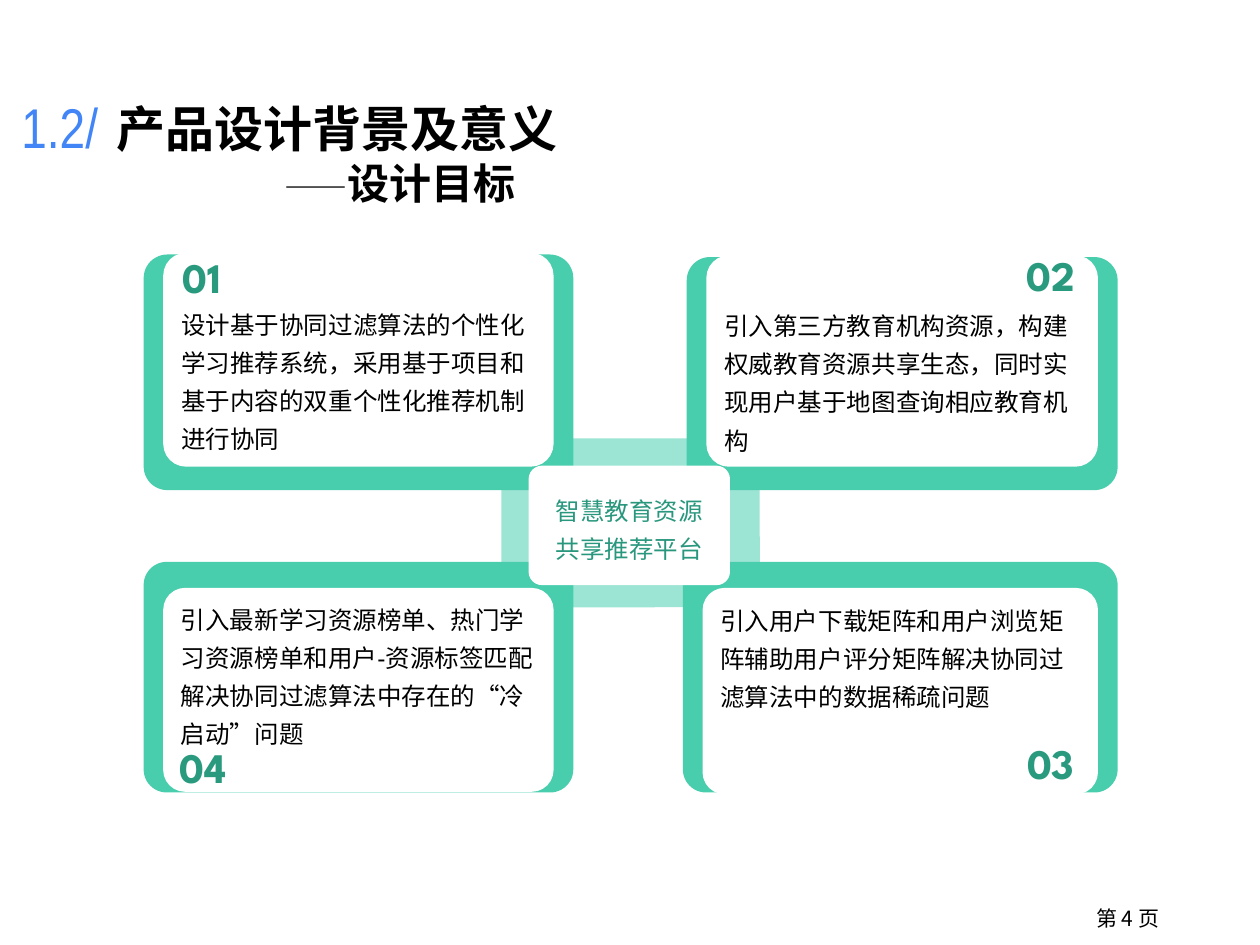
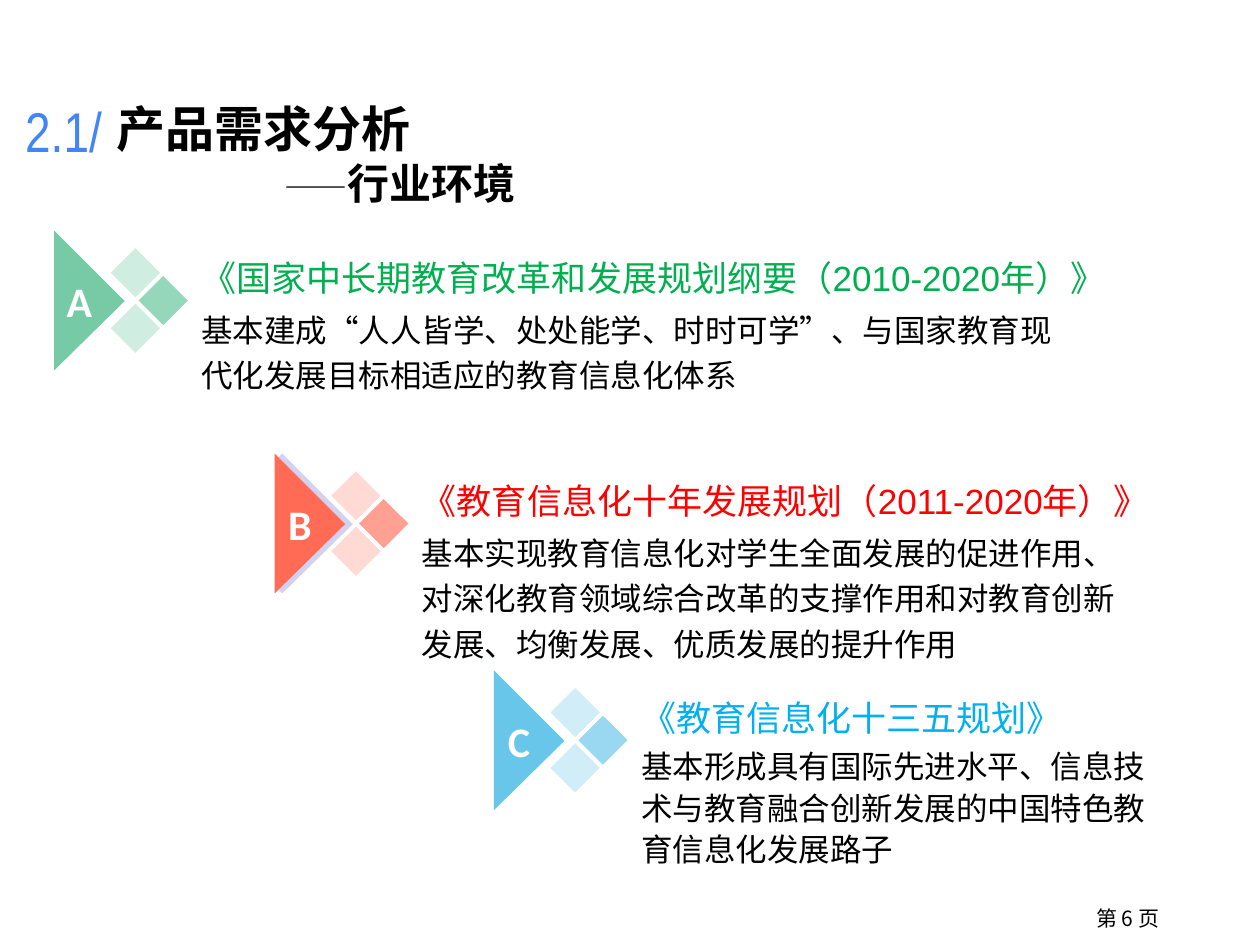
import pptx
import pptx.util
import pptx.dml.color
import pptx.enum.shapes
import pptx.enum.text
import lxml.etree
import pptx.oxml.ns

Inches, Pt = pptx.util.Inches, pptx.util.Pt
rgb = pptx.dml.color.RGBColor.from_string
SHAPE = pptx.enum.shapes.MSO_SHAPE
ANCHOR = pptx.enum.text.MSO_ANCHOR
ALIGN = pptx.enum.text.PP_ALIGN

CJK = "Noto Sans CJK SC"
BLACK, WHITE, BLUE = "000000", "FFFFFF", "4285F7"
GREEN, PALE_GREEN, DARK_GREEN = "48CDAD", "9CE4D3", "2A9A7F"
MARGINS = (0.1, 0.05, 0.1, 0.05)


def paint(sp, fill, line=None):
    sp.shadow.inherit = False
    sp.fill.solid()
    sp.fill.fore_color.rgb = rgb(fill)
    if line:
        sp.line.color.rgb = rgb(line)
        sp.line.width = Pt(2)
    else:
        sp.line.fill.background()


def write(sp, text, size, font="Arial", color=BLACK, bold=False, align=ALIGN.LEFT,
          spacing=1.0, anchor=ANCHOR.TOP, margins=MARGINS):
    """Put text in the first free paragraph of sp and return that paragraph."""
    tf = sp.text_frame
    tf.word_wrap = True
    tf.vertical_anchor = anchor
    tf.margin_left, tf.margin_top, tf.margin_right, tf.margin_bottom = map(Inches, margins)
    p = tf.add_paragraph() if tf.text else tf.paragraphs[0]
    p.alignment, p.line_spacing = align, spacing
    f = p.font
    f.size, f.name, f.bold = Pt(size), font, bold
    f.color.rgb = rgb(color)
    ea = lxml.etree.SubElement(f._element, pptx.oxml.ns.qn("a:ea"))
    ea.set("typeface", CJK)
    p.add_run().text = text
    return p


prs = pptx.Presentation()
prs.slide_width, prs.slide_height = Inches(10), Inches(7.5)

# Section number, title, subtitle and page number of both slides
headings = [
    ("1.2/", 0.12, 0.68, "产品设计背景及意义", "设计目标", "第 4 页"),
    ("2.1/", 0.15, 0.71, "产品需求分析", "行业环境", "第 6 页"),
]
for number, x, y, title, subtitle, page in headings:
    s = prs.slides.add_slide(prs.slide_layouts[6])
    sp = s.shapes.add_textbox(Inches(8.34), Inches(7.14), Inches(1.22), Inches(0.39))
    write(sp, page, 12, CJK, align=ALIGN.CENTER)
    sp = s.shapes.add_textbox(Inches(x), Inches(y), Inches(1.08), Inches(0.64))
    write(sp, number, 32, "Arial Narrow", BLUE, anchor=ANCHOR.MIDDLE, margins=[0.05] * 4)
    sp = s.shapes.add_textbox(Inches(0.83), Inches(0.73), Inches(4.11), Inches(0.98))
    write(sp, title, 28, "Times New Roman", bold=True)
    p = write(sp, "——", 24, "Times New Roman", bold=True)
    p._p.get_or_add_pPr().set("marL", str(Inches(1.33)))
    dash = p.runs[0].font
    dash.size, dash.name, dash.bold = Pt(18), CJK, False
    p.add_run().text = subtitle

goals_slide, policy_slide = prs.slides

# Four goal cards around the platform name
s = goals_slide
sp = s.shapes.add_shape(SHAPE.ROUNDED_RECTANGLE, Inches(3.98), Inches(3.48), Inches(2.05), Inches(1.34))
sp.adjustments[0] = 0.1
paint(sp, PALE_GREEN)

TOP_TEXT, BOTTOM_TEXT = (0.08, 0.28, 0.08, 0), (0.08, 0, 0.08, 0.28)
# number, number position, card box, panel top and height, margins, text
goals = [
    ("01", (1.27, 2.05), (1.14, 2.02, 3.41, 1.87), (2.02, 1.67), TOP_TEXT,
     "设计基于协同过滤算法的个性化学习推荐系统，采用基于项目和基于内容的双重个性化推荐机制进行协同"),
    ("02", (8.01, 2.04), (5.45, 2.04, 3.42, 1.85), (2.04, 1.65), TOP_TEXT,
     "引入第三方教育机构资源，构建权威教育资源共享生态，同时实现用户基于地图查询相应教育机构"),
    ("04", (1.28, 5.94), (1.14, 4.46, 3.41, 1.83), (4.68, 1.59), BOTTOM_TEXT,
     "引入最新学习资源榜单、热门学习资源榜单和用户-资源标签匹配解决协同过滤算法中存在的“冷启动”问题"),
    ("03", (8.01, 5.91), (5.42, 4.46, 3.45, 1.83), (4.68, 1.61), (0.08, 0, 0.08, 0.58),
     "引入用户下载矩阵和用户浏览矩阵辅助用户评分矩阵解决协同过滤算法中的数据稀疏问题"),
]
for number, (nx, ny), (x, y, w, h), (panel_y, panel_h), margins, text in goals:
    card = s.shapes.add_shape(SHAPE.ROUNDED_RECTANGLE, Inches(x), Inches(y), Inches(w), Inches(h))
    card.adjustments[0] = 0.1
    paint(card, GREEN)
    panel = s.shapes.add_shape(SHAPE.ROUNDED_RECTANGLE, Inches(x + 0.17), Inches(panel_y),
                               Inches(w - 0.34), Inches(panel_h))
    panel.adjustments[0] = 0.1
    paint(panel, WHITE, WHITE)
    write(panel, text, 14, spacing=1.3, anchor=ANCHOR.MIDDLE, margins=margins)
    sp = s.shapes.add_textbox(Inches(nx), Inches(ny), Inches(0.66), Inches(0.36))
    write(sp, number, 24, "League Spartan", DARK_GREEN, True, ALIGN.CENTER, 0.8,
          ANCHOR.MIDDLE, [0] * 4)

hub = s.shapes.add_shape(SHAPE.ROUNDED_RECTANGLE, Inches(4.21), Inches(3.71), Inches(1.57), Inches(0.92))
hub.adjustments[0] = 0.1
paint(hub, WHITE, WHITE)
write(hub, "智慧教育资源共享推荐平台", 14, CJK, "29977D", align=ALIGN.CENTER, spacing=1.3,
      anchor=ANCHOR.MIDDLE)

# Three policy steps, each with an arrow of a triangle and diamonds
s = policy_slide
# letter, origin, (triangle, pale, mid, edge, heading) colours,
# heading width, body width, line spacing, heading, body
policies = [
    ("A", (0.43, 1.83), ("76CBA6", "CFEDE0", "95D7BB", WHITE, "00B050"), 7.81, 7.18, 1.2,
     "《国家中长期教育改革和发展规划纲要（2010-2020年）》",
     "基本建成“人人皆学、处处能学、时时可学”、与国家教育现代化发展目标相适应的教育信息化体系"),
    ("B", (2.18, 3.6), ("FF6B55", "FFDAD5", "FFA093", "D1D1F0", "FF0000"), 7.01, 5.91, 1.2,
     "《教育信息化十年发展规划（2011-2020年）》",
     "基本实现教育信息化对学生全面发展的促进作用、对深化教育领域综合改革的支撑作用和对教育创新发展、均衡发展、优质发展的提升作用"),
    ("C", (3.92, 5.32), ("68C6EA", "D0EDF8", "9AD7F0", WHITE, "00B0F0"), 3.83, 4.32, 1.1,
     "《教育信息化十三五规划》",
     "基本形成具有国际先进水平、信息技术与教育融合创新发展的中国特色教育信息化发展路子"),
]
EDGE = [(0.06, 0), (0.62, 0.56), (0.06, 1.11), (0.03, 1.08), (0.56, 0.56), (0.03, 0.03)]
TRIANGLE = [(0, 0), (0.56, 0.56), (0, 1.11)]
for letter, (x, y), colors, heading_w, body_w, spacing, heading, body in policies:
    fill, pale, mid, edge, heading_color = colors
    for dx, dy, color in [(0.45, 0.14, pale), (0.45, 0.58, pale), (0.67, 0.36, mid)]:
        sp = s.shapes.add_shape(SHAPE.DIAMOND, Inches(x + dx), Inches(y + dy), Inches(0.39), Inches(0.39))
        paint(sp, color)
    for outline, color in [(EDGE, edge), (TRIANGLE, fill)]:
        points = [(Inches(x + dx), Inches(y + dy)) for dx, dy in outline]
        builder = s.shapes.build_freeform(*points[0])
        builder.add_line_segments(points[1:], close=True)
        sp = builder.convert_to_shape()
        paint(sp, color)
    write(sp, letter, 24, "Calibri", WHITE, True, ALIGN.CENTER, anchor=ANCHOR.MIDDLE,
          margins=(0, 0, 0.16, 0))
    sp = s.shapes.add_textbox(Inches(x + 1.07), Inches(y + 0.53), Inches(body_w), Inches(1.15))
    write(sp, body, 18, spacing=spacing)
    sp = s.shapes.add_textbox(Inches(x + 1.07), Inches(y), Inches(heading_w), Inches(0.59))
    write(sp, heading, 20, color=heading_color, anchor=ANCHOR.BOTTOM)

prs.save("out.pptx")
